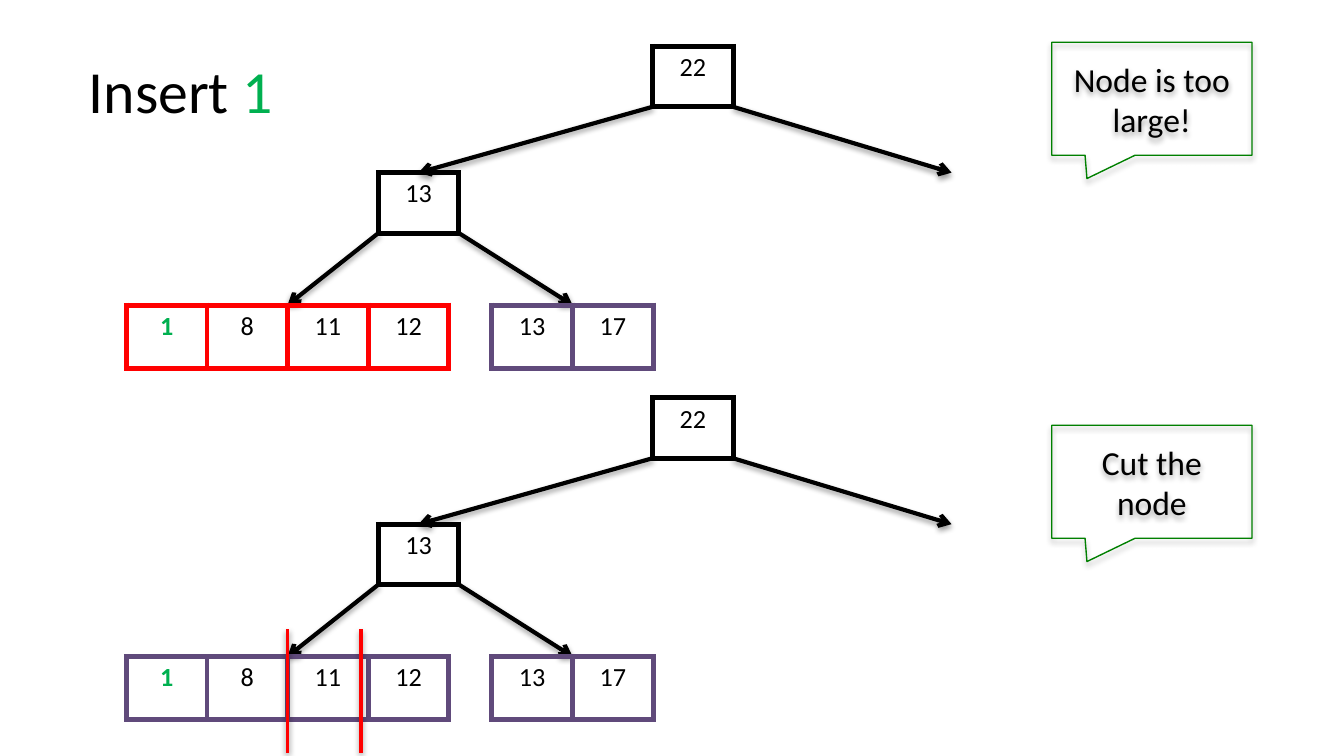
import dataclasses

import lxml.etree
import pptx
import pptx.dml.color
import pptx.enum.shapes
import pptx.enum.text
import pptx.oxml
import pptx.oxml.ns
import pptx.util

PX = 4572
SLIDE_W, SLIDE_H = 2000, 1125
CELL_W, NODE_H, LEAF_H = 120, 90, 94
CHILD_X, ROOT_X, RIGHT_LEAF_X = 375, 783, 544
CHILD_Y, LEAF_Y = 188, 385


@dataclasses.dataclass(frozen=True)
class Theme:
    font: str = "Calibri"
    black: str = "000000"
    key: str = "00B050"
    leaf: str = "604A7B"
    alert: str = "FF0000"
    callout: str = "008000"
    title_size: int = 32
    callout_size: int = 18
    cell_size: int = 14
    node_line: float = 3
    arrow_line: float = 2.25
    cut_line: float = 2
    callout_line: float = 0.75


THEME = Theme()


def px(n):
    return pptx.util.Emu(n * PX)


def rgb(color):
    return pptx.dml.color.RGBColor.from_string(color)


def style_font(font, size, color):
    font.name = THEME.font
    font.size = pptx.util.Pt(size)
    font.color.rgb = rgb(color)


def sub(parent, tag, **attrs):
    e = lxml.etree.SubElement(parent, pptx.oxml.ns.qn(tag))
    for name, value in attrs.items():
        e.set(name, str(value))
    return e


def add_shadow(s, opacity, distance):
    effects = sub(s._element.spPr, "a:effectLst")
    shadow = sub(effects, "a:outerShdw", blurRad=pptx.util.Pt(3.1),
                 dist=pptx.util.Pt(distance), dir=5400000, rotWithShape=0)
    color = sub(shadow, "a:srgbClr", val=THEME.black)
    sub(color, "a:alpha", val=opacity * 1000)


def add_line(slide, start, end, color, width, arrow=False):
    s = slide.shapes.add_connector(
        pptx.enum.shapes.MSO_CONNECTOR.STRAIGHT, *map(px, start + end))
    s.line.color.rgb = rgb(color)
    s.line.width = pptx.util.Pt(width)
    if arrow:
        sub(s.line._get_or_add_ln(), "a:tailEnd", type="arrow")
    add_shadow(s, 38, 1.6)


def set_borders(cell, color):
    tc_pr = cell._tc.get_or_add_tcPr()
    for i, side in enumerate(("a:lnL", "a:lnR", "a:lnT", "a:lnB")):
        ln = pptx.oxml.parse_xml(
            f'<{side} {pptx.oxml.ns.nsdecls("a")} w="{pptx.util.Pt(THEME.node_line)}"/>')
        sub(sub(ln, "a:solidFill"), "a:srgbClr", val=color)
        tc_pr.insert(i, ln)


def add_node(slide, x, y, h, keys, color, inserted=None):
    table = slide.shapes.add_table(
        1, len(keys), px(x), px(y), px(CELL_W * len(keys)), px(h)).table
    table.first_row = table.horz_banding = False
    for cell, key in zip(table.rows[0].cells, keys):
        cell.margin_top = cell.margin_bottom = px(8)
        cell.fill.background()
        set_borders(cell, color)
        cell.text = key
        p = cell.text_frame.paragraphs[0]
        p.alignment = pptx.enum.text.PP_ALIGN.CENTER
        is_new = key == inserted
        style_font(p.font, THEME.cell_size, THEME.key if is_new else THEME.black)
        p.font.bold = is_new


def add_tree(slide, x, y, full_leaf_color):
    child_bottom = CHILD_Y + NODE_H
    arrows = [
        ((ROOT_X, NODE_H), (CHILD_X + CELL_W // 2, CHILD_Y)),
        ((ROOT_X + CELL_W, NODE_H), (1228, CHILD_Y)),
        ((CHILD_X, child_bottom), (2 * CELL_W, LEAF_Y)),
        ((CHILD_X + CELL_W, child_bottom), (RIGHT_LEAF_X + CELL_W, LEAF_Y)),
    ]
    for (x1, y1), (x2, y2) in arrows:
        add_line(slide, (x + x1, y + y1), (x + x2, y + y2),
                 THEME.black, THEME.arrow_line, arrow=True)
    add_node(slide, x + ROOT_X, y, NODE_H, ["22"], THEME.black)
    add_node(slide, x + CHILD_X, y + CHILD_Y, NODE_H, ["13"], THEME.black)
    add_node(slide, x, y + LEAF_Y, LEAF_H, ["1", "8", "11", "12"],
             full_leaf_color, inserted="1")
    add_node(slide, x + RIGHT_LEAF_X, y + LEAF_Y, LEAF_H, ["13", "17"], THEME.leaf)


def add_cuts(slide, x, y, w, h):
    for cut_x in (x, x + w):
        add_line(slide, (cut_x, y + h), (cut_x, y), THEME.alert, THEME.cut_line)


def add_callout(slide, x, y, w, h, text):
    s = slide.shapes.add_shape(
        pptx.enum.shapes.MSO_SHAPE.RECTANGULAR_CALLOUT, px(x), px(y), px(w), px(h))
    s.adjustments[0], s.adjustments[1] = -0.324, 0.707
    s.fill.background()
    s.line.color.rgb = rgb(THEME.callout)
    s.line.width = pptx.util.Pt(THEME.callout_line)
    add_shadow(s, 35, 1.8)
    tf = s.text_frame
    tf.word_wrap = True
    tf.vertical_anchor = pptx.enum.text.MSO_ANCHOR.MIDDLE
    p = tf.paragraphs[0]
    p.text = text
    p.alignment = pptx.enum.text.PP_ALIGN.CENTER
    style_font(p.font, THEME.callout_size, THEME.black)


def add_title(slide, x, y, w, h):
    s = slide.shapes.title
    s.left, s.top, s.width, s.height = map(px, (x, y, w, h))
    tf = s.text_frame
    tf.word_wrap = True
    tf.auto_size = pptx.enum.text.MSO_AUTO_SIZE.SHAPE_TO_FIT_TEXT
    tf.vertical_anchor = pptx.enum.text.MSO_ANCHOR.TOP
    p = tf.paragraphs[0]
    p.alignment = pptx.enum.text.PP_ALIGN.LEFT
    for text, color in (("Insert ", THEME.black), ("1", THEME.key)):
        r = p.add_run()
        r.text = text
        style_font(r.font, THEME.title_size, color)


def main():
    prs = pptx.Presentation()
    prs.slide_width, prs.slide_height = px(SLIDE_W), px(SLIDE_H)
    slide = prs.slides.add_slide(prs.slide_layouts.get_by_name("Title Only"))
    add_title(slide, 112, 70, 420, 128)
    add_tree(slide, 188, 69, THEME.alert)
    add_callout(slide, 1565, 63, 298, 168, "Node is too large!")
    add_tree(slide, 188, 592, THEME.leaf)
    add_callout(slide, 1565, 633, 298, 168, "Cut the node")
    add_cuts(slide, 428, 936, 109, 184)
    prs.save("out.pptx")


if __name__ == "__main__":
    main()
